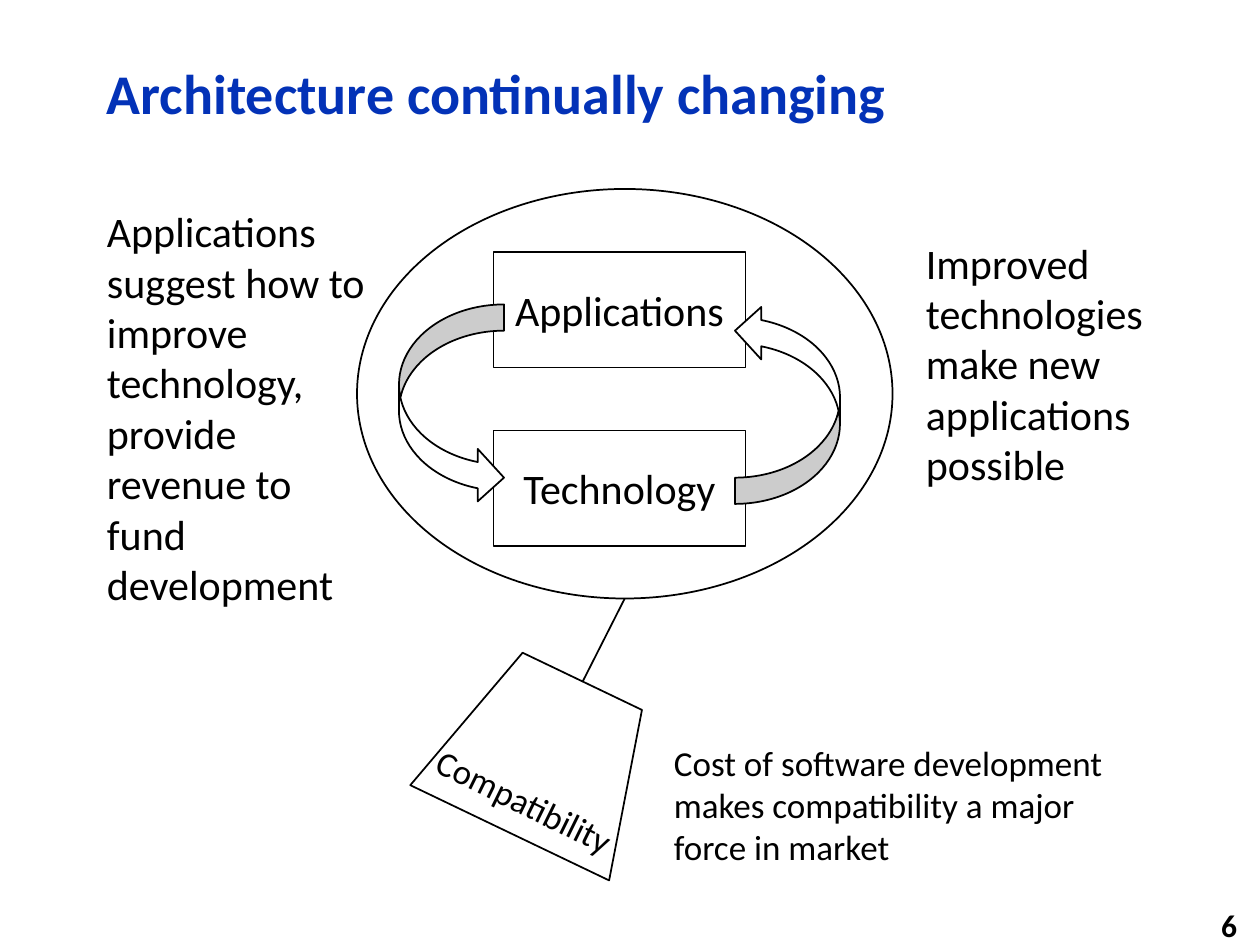
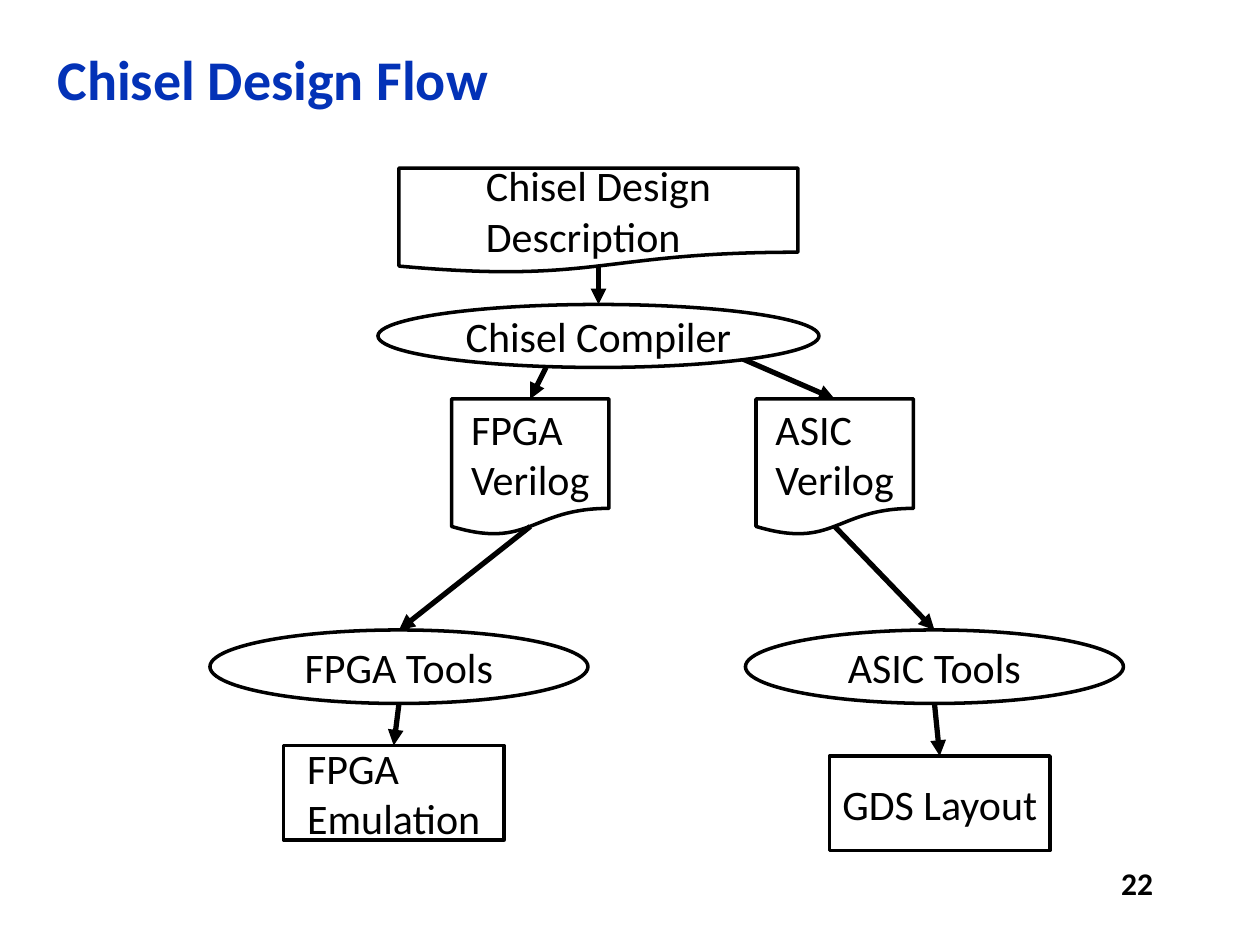
from lxml.etree import SubElement
from pptx import Presentation
from pptx.dml.color import RGBColor
from pptx.enum.shapes import MSO_CONNECTOR, MSO_SHAPE
from pptx.enum.text import MSO_ANCHOR, MSO_AUTO_SIZE, PP_ALIGN
from pptx.oxml.ns import qn
from pptx.util import Inches, Pt

COLORS = {"title": "0332B7", "ink": "000000", "paper": "FFFFFF"}
FONT = "Calibri"
COLUMNS, ROWS = 120, 90
CELL = Inches(10) / COLUMNS
DOCUMENT_FOOT = 0.934  # share of a document's height where its wave crosses the middle


def cells(*counts):
    """Turn grid counts into slide lengths."""
    return [round(count * CELL) for count in counts]


def write(shape, text, size=24, color="ink", bold=False, align=PP_ALIGN.LEFT,
          anchor=MSO_ANCHOR.TOP, wrap=True):
    frame = shape.text_frame
    frame.word_wrap = wrap
    frame.vertical_anchor = anchor
    paragraph = frame.paragraphs[0]
    paragraph.text = text
    paragraph.alignment = align
    font = paragraph.font
    font.name, font.size, font.bold = FONT, Pt(size), bold
    font.color.rgb = RGBColor.from_string(COLORS[color])
    return paragraph


def add_text(slide, box, text, **style):
    shape = slide.shapes.add_textbox(*cells(*box))
    return shape, write(shape, text, **style)


def add_note(slide, box, text, **style):
    """Add a text box that grows with its text."""
    shape, _ = add_text(slide, box, text, **style)
    shape.text_frame.auto_size = MSO_AUTO_SIZE.SHAPE_TO_FIT_TEXT
    return shape


def add_frame(slide, left, top, title, number, number_left, number_top):
    """Add the title and the slide number."""
    _, heading = add_text(slide, (left, top, 95.8, 9.7), title, size=32, color="title",
                          bold=True, anchor=MSO_ANCHOR.MIDDLE)
    heading.line_spacing = 0.9
    add_text(slide, (number_left, number_top, 25, 3.8), number, size=18, bold=True,
             align=PP_ALIGN.RIGHT, anchor=MSO_ANCHOR.MIDDLE)


def add_outline(slide, kind, box, weight=1, flip="", rotation=0):
    shape = slide.shapes.add_shape(kind, *cells(*box))
    shape.shadow.inherit = False
    shape.fill.solid()
    shape.fill.fore_color.rgb = RGBColor.from_string(COLORS["paper"])
    shape.line.color.rgb = RGBColor.from_string(COLORS["ink"])
    shape.line.width = Pt(weight)
    shape.rotation = rotation
    for axis in flip:
        shape._element.spPr.xfrm.set("flip" + axis, "1")
    return shape


def add_line(slide, start, end, weight=1, arrow=False):
    line = slide.shapes.add_connector(MSO_CONNECTOR.STRAIGHT, *start, *end)
    line.line.color.rgb = RGBColor.from_string(COLORS["ink"])
    line.line.width = Pt(weight)
    if arrow:
        SubElement(line.line._get_or_add_ln(), qn("a:tailEnd"), type="triangle")
    SubElement(line._element.spPr, qn("a:effectLst"))


def add_node(slide, kind, box, text):
    """Add a flow step whose left-aligned text block sits in the middle."""
    shape = add_outline(slide, kind, box, weight=2)
    write(shape, text, anchor=MSO_ANCHOR.MIDDLE)
    shape._element.txBody.bodyPr.set("anchorCtr", "1")
    if kind == MSO_SHAPE.OVAL:
        frame = shape.text_frame
        frame.margin_left = frame.margin_right = frame.margin_top = frame.margin_bottom = 0
    return shape


def middle(shape, share=0):
    """Return the point on the centre line at a share of the shape's height."""
    return shape.left + shape.width // 2, shape.top + round(shape.height * share)


def add_arrow(slide, start, target):
    add_line(slide, start, middle(target), weight=3, arrow=True)


def build_changing_slide(slide):
    add_outline(slide, MSO_SHAPE.OVAL, (34, 18, 51, 39))
    add_outline(slide, MSO_SHAPE.FLOWCHART_MANUAL_OPERATION, (41.5, 64.1, 21, 16),
                flip="V", rotation=25.6)
    add_line(slide, cells(55.5, 64.9), cells(59.5, 57))
    weight_label = add_note(slide, (39.7, 73.7, 20.6, 5.3), "Compatibility",
                            size=20, wrap=False)
    weight_label.rotation = 26.3
    add_note(slide, (63, 70, 48, 13.3),
             "Cost of software development makes compatibility a major force in market", size=20)
    add_frame(slide, 9, 4.3, "Architecture continually changing", "6", 94, 86.2)

    for top, text in ((24, "Applications"), (41, "Technology")):
        write(add_outline(slide, MSO_SHAPE.RECTANGLE, (47, top, 24, 11)), text,
              align=PP_ALIGN.CENTER, anchor=MSO_ANCHOR.MIDDLE)
    for left, flip in ((38, ""), (70, "HV")):
        add_outline(slide, MSO_SHAPE.CURVED_RIGHT_ARROW, (left, 29, 10, 19), flip=flip)

    add_note(slide, (9, 19, 28, 40), "Applications suggest how to improve technology, "
             "provide revenue to fund development")
    add_note(slide, (87, 22, 28, 25.4), "Improved technologies make new applications possible")


def build_flow_slide(slide):
    add_frame(slide, 4.3, 3, "Chisel Design Flow", "22", 86, 82.2)
    document = MSO_SHAPE.FLOWCHART_DOCUMENT
    description = add_node(slide, document, (38, 16, 38, 10), "Chisel Design Description")

    # Verilog text and box, start of its arrow, tools text and left, result text and box
    branches = (
        ("FPGA Verilog", 43, (52, 35), "FPGA Tools", 20, "FPGA Emulation", (27, 71)),
        ("ASIC Verilog", 72, (68, 33), "ASIC Tools", 71, "GDS Layout", (79, 72)),
    )
    for verilog, left, start, tools, tools_left, result, corner in branches:
        source = add_node(slide, document, (left, 38, 15, 13), verilog)
        add_arrow(slide, cells(*start), source)
        tool = add_node(slide, MSO_SHAPE.OVAL, (tools_left, 60, 36, 7), tools)
        product = add_node(slide, MSO_SHAPE.RECTANGLE, (*corner, 21, 9), result)
        add_arrow(slide, middle(source, DOCUMENT_FOOT), tool)
        add_arrow(slide, middle(tool, 1), product)

    compiler = add_node(slide, MSO_SHAPE.OVAL, (36, 29, 42, 6), "Chisel Compiler")
    add_arrow(slide, middle(description, DOCUMENT_FOOT), compiler)


def main():
    presentation = Presentation()
    presentation.slide_width, presentation.slide_height = cells(COLUMNS, ROWS)
    for build in (build_changing_slide, build_flow_slide):
        build(presentation.slides.add_slide(presentation.slide_layouts[6]))
    presentation.save("out.pptx")


if __name__ == "__main__":
    main()
